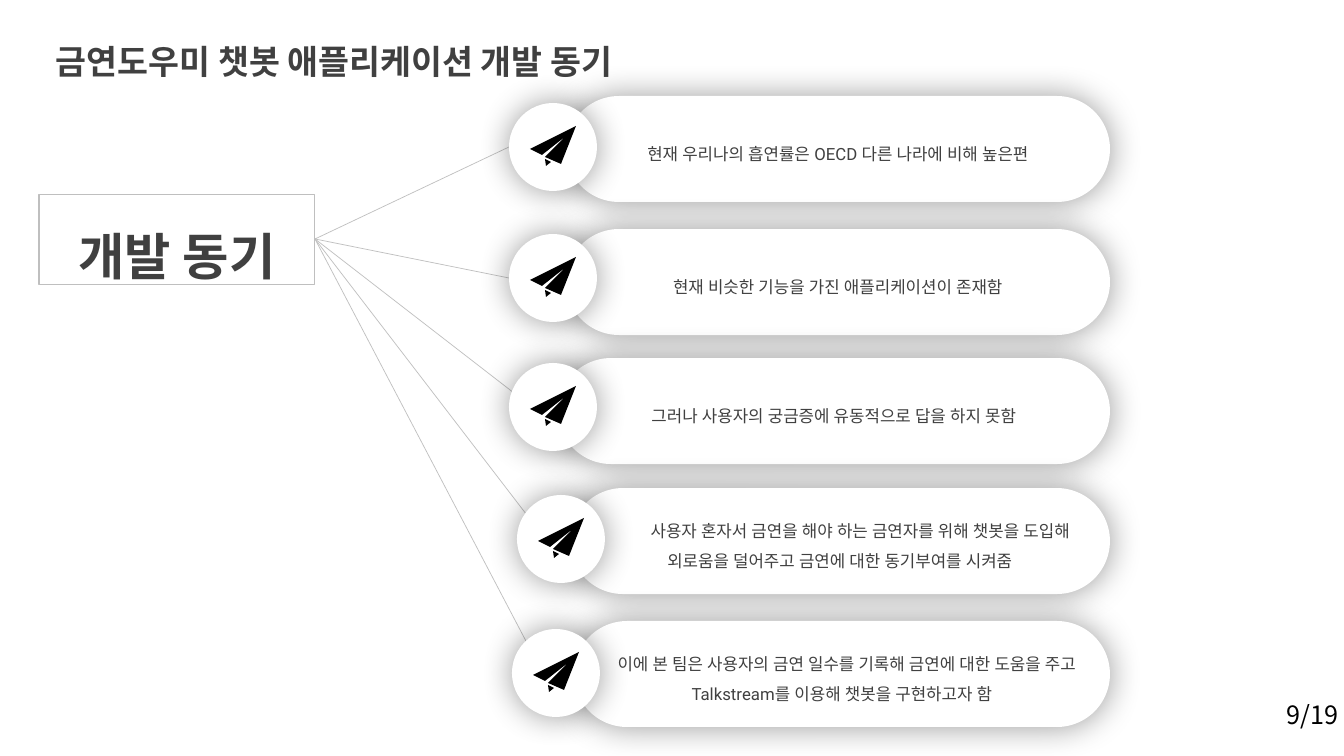
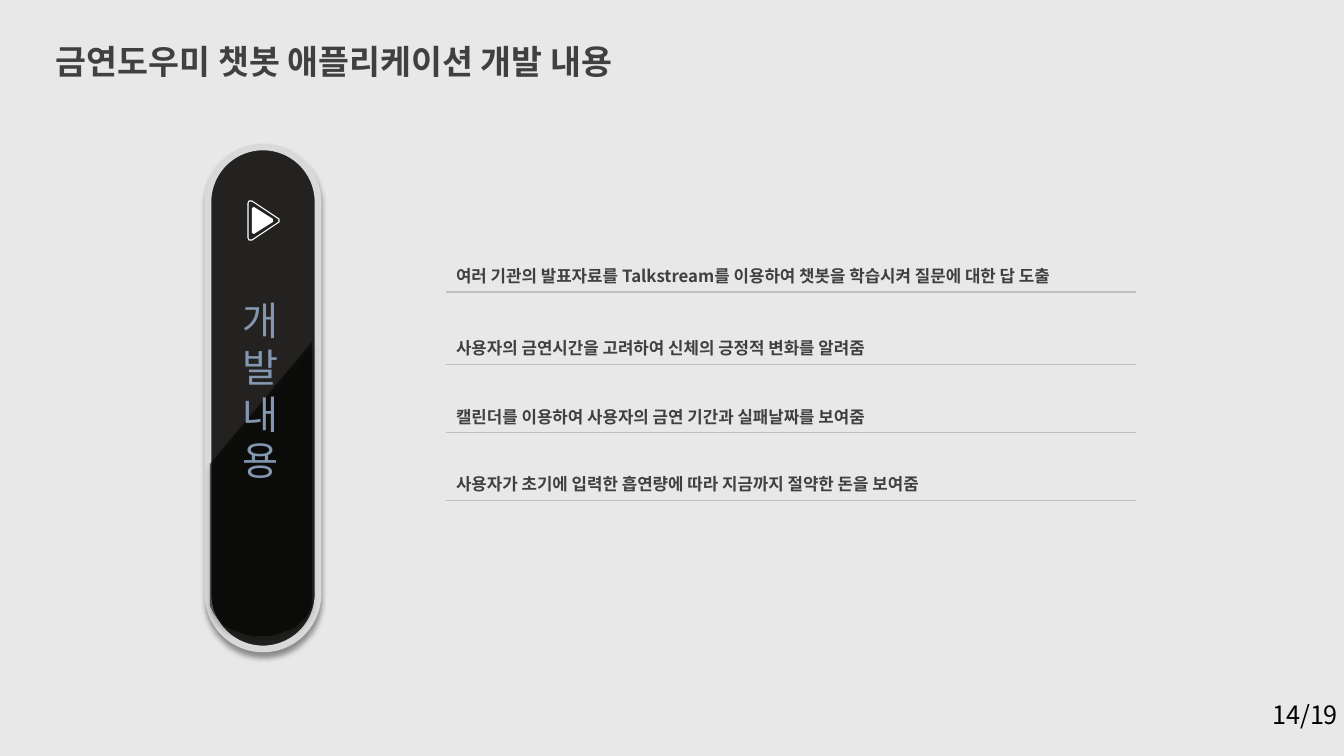
from math import cos, pi, sin

from lxml.etree import SubElement
from pptx import Presentation
from pptx.dml.color import RGBColor
from pptx.enum.shapes import MSO_CONNECTOR, MSO_SHAPE
from pptx.enum.text import MSO_ANCHOR, PP_ALIGN
from pptx.oxml import parse_xml
from pptx.oxml.ns import nsdecls, qn
from pptx.util import Pt

PX = 9072  # EMU in one px
WIDTH, HEIGHT = 1344, 756

WHITE = RGBColor(0xFF, 0xFF, 0xFF)
BLACK = RGBColor(0x00, 0x00, 0x00)
PALE_GRAY = RGBColor(0xE8, 0xE8, 0xE8)
RIM_GRAY = RGBColor(0xD9, 0xD9, 0xD9)
LINE_GRAY = RGBColor(0xBF, 0xBF, 0xBF)
TEXT_GRAY = RGBColor(0x40, 0x40, 0x40)
CHARCOAL = RGBColor(0x23, 0x22, 0x20)
SLATE = RGBColor(0x84, 0x97, 0xB0)

KOREAN = "Noto Sans CJK KR"
LATIN = "Roboto"

GLOW = (24, 0, 0)  # blur pt, distance pt, direction degrees
DROP = (4, 3, 90)


def dress(shape, fill=None, line=None, weight=0.75, shadow=None):
    """Set fill, outline and shadow of a shape."""
    shape.shadow.inherit = False
    if fill is None:
        shape.fill.background()
    else:
        shape.fill.solid()
        shape.fill.fore_color.rgb = fill
    if line is None:
        shape.line.fill.background()
    else:
        shape.line.color.rgb = line
        shape.line.width = Pt(weight)
    if shadow:
        blur, distance, degrees = shadow
        effects = shape._element.spPr.find(qn("a:effectLst"))
        effects.append(parse_xml(
            f'<a:outerShdw {nsdecls("a")} blurRad="{Pt(blur)}" dist="{Pt(distance)}" '
            f'dir="{degrees * 60000}" algn="ctr" rotWithShape="0"><a:srgbClr val="000000">'
            '<a:alpha val="40000"/></a:srgbClr></a:outerShdw>'))


def write(frame, lines, size, color=TEXT_GRAY, face=KOREAN, bold=False,
          align=PP_ALIGN.LEFT, spacing=1.0, indent=0):
    """Fill a text frame, one paragraph a line."""
    frame.word_wrap = True
    for number, line in enumerate(lines):
        para = frame.add_paragraph() if number else frame.paragraphs[0]
        para.alignment = align
        para.line_spacing = spacing
        if indent:
            para._p.get_or_add_pPr().set("indent", str(indent * PX))
        span = para.add_run()
        span.text = line
        span.font.name = face
        span.font.size = Pt(size)
        span.font.bold = bold
        span.font.color.rgb = color
        SubElement(span.font._element, qn("a:ea")).set("typeface", face)


deck = Presentation()
deck.slide_width, deck.slide_height = WIDTH * PX, HEIGHT * PX

# Background, title and page number of both slides
pages = []
for title, number, backdrop in [
    ("금연도우미 챗봇 애플리케이션 개발 동기", "9/19", WHITE),
    ("금연도우미 챗봇 애플리케이션 개발 내용", "14/19", PALE_GRAY),
]:
    page = deck.slides.add_slide(deck.slide_layouts[6])
    page.background.fill.solid()
    page.background.fill.fore_color.rgb = backdrop
    box = page.shapes.add_textbox(46 * PX, 19 * PX, 814 * PX, 64 * PX)
    box.text_frame.vertical_anchor = MSO_ANCHOR.MIDDLE
    write(box.text_frame, [title], 24, bold=True, spacing=1.5)
    box = page.shapes.add_textbox(1244 * PX, 694 * PX, 94 * PX, 40 * PX)
    box.text_frame.vertical_anchor = MSO_ANCHOR.MIDDLE
    box.text_frame.margin_right = 0
    write(box.text_frame, [number], 18, BLACK, align=PP_ALIGN.RIGHT)
    pages.append(page)
motive_page, content_page = pages

# Slide 1: pills, each with its circle and the end of its line
shapes = motive_page.shapes
PILL_RIGHT, PILL_HEIGHT, CIRCLE = 1110, 106, 88
EDGE, INNER = (0, 44), (36, 54)  # line ends, from the circle's corner
# pill left, pill top, circle left, circle top, line end, first-line indent, text
motives = [
    (566, 96, 509, 103, EDGE, 0, "현재 우리나의 흡연률은 OECD 다른 나라에 비해 높은편"),
    (566, 229, 509, 234, EDGE, 0, "현재 비슷한 기능을 가진 애플리케이션이 존재함"),
    (558, 358, 509, 363, INNER, 0, "그러나 사용자의 궁금증에 유동적으로 답을 하지 못함"),
    (570, 488, 517, 495, INNER, 41,
     "사용자 혼자서 금연을 해야 하는 금연자를 위해 챗봇을 도입해 "
     "외로움을 덜어주고 금연에 대한 동기부여를 시켜줌"),
    (574, 621, 512, 629, INNER, 10,
     "이에 본 팀은 사용자의 금연 일수를 기록해 금연에 대한 도움을 주고 "
     "Talkstream를 이용해 챗봇을 구현하고자 함"),
]
for left, top, _, _, _, indent, text in motives:
    pill = shapes.add_shape(MSO_SHAPE.ROUNDED_RECTANGLE, left * PX, top * PX,
                            (PILL_RIGHT - left) * PX, PILL_HEIGHT * PX)
    pill.adjustments[0] = 0.5
    dress(pill, WHITE, shadow=GLOW)
    frame = pill.text_frame
    frame.margin_left = frame.margin_right = frame.margin_top = frame.margin_bottom = 0
    frame.vertical_anchor = MSO_ANCHOR.MIDDLE
    write(frame, [text], 12, face=LATIN, align=PP_ALIGN.CENTER, spacing=1.5, indent=indent)

# Heading box
heading = shapes.add_shape(MSO_SHAPE.RECTANGLE, 39 * PX, 195 * PX, 276 * PX, 90 * PX)
dress(heading, line=LINE_GRAY)
heading.text_frame.vertical_anchor = MSO_ANCHOR.MIDDLE
write(heading.text_frame, ["개발 동기"], 36, bold=True, align=PP_ALIGN.CENTER, spacing=1.5)

# Lines from the heading to the circles
for _, _, left, top, (dx, dy), _, _ in motives:
    line = shapes.add_connector(MSO_CONNECTOR.STRAIGHT, (left + dx) * PX, (top + dy) * PX,
                                315 * PX, 239 * PX)
    line.line.color.rgb = LINE_GRAY
    line.line.width = Pt(0.5)
    SubElement(line._element.spPr, qn("a:effectLst"))

# Circles with paper planes
FIN = [(15, 33), (21, 36), (16, 40)]
WINGS = [(46, 0), (31, 38), (15, 31), (36, 10), (12, 29), (0, 23)]
for _, _, left, top, _, _, _ in motives:
    circle = shapes.add_shape(MSO_SHAPE.OVAL, left * PX, top * PX, CIRCLE * PX, CIRCLE * PX)
    dress(circle, WHITE, shadow=GLOW)
    outline = shapes.build_freeform(*FIN[0], scale=PX)
    outline.add_line_segments(FIN[1:])
    outline.move_to(*WINGS[0])
    outline.add_line_segments(WINGS[1:])
    dress(outline.convert_to_shape((left + 21) * PX, (top + 23) * PX), BLACK)

# Slide 2: capsule
shapes = content_page.shapes
capsule = shapes.add_shape(MSO_SHAPE.ROUNDED_RECTANGLE, 208 * PX, 147 * PX, 110 * PX, 502 * PX)
capsule.adjustments[0] = 0.5
dress(capsule, CHARCOAL, RIM_GRAY, 4.75, DROP)

# Dark lower part of the capsule, closed by half an ellipse
STEPS = 24
bowl = [(round(261 + 51 * cos(pi * step / STEPS), 2), round(601 + 35 * sin(pi * step / STEPS), 2))
        for step in range(STEPS + 1)]
outline = shapes.build_freeform(312, 342, scale=PX)
outline.add_line_segments(bowl + [(210, 464)])
shade = outline.convert_to_shape()
dress(shade, BLACK, shadow=DROP)
color = shade._element.spPr.find(qn("a:solidFill")).find(qn("a:srgbClr"))
SubElement(color, qn("a:alpha")).set("val", "57000")

# Vertical label
label = shapes.add_textbox(208 * PX, 290 * PX, 105 * PX, 200 * PX)
label.text_frame.vertical_anchor = MSO_ANCHOR.MIDDLE
write(label.text_frame, "개발내용", 28, SLATE, align=PP_ALIGN.CENTER, spacing=Pt(33.5))

# Play sign: outlined and filled triangle
RING = [(279, 219), (279, 222), (252, 240), (249, 240), (248, 238), (248, 203), (249, 201), (252, 201)]
CORE = [(273, 219), (273, 222), (254, 234), (252, 233), (252, 208), (254, 207)]
for points, fill, line in [(RING, None, WHITE), (CORE, WHITE, None)]:
    outline = shapes.build_freeform(*points[0], scale=PX)
    outline.add_line_segments(points[1:])
    dress(outline.convert_to_shape(), fill, line)

# Table of contents, ruled below each row
features = [
    (79, 1, "여러 기관의 발표자료를 Talkstream를 이용하여 챗봇을 학습시켜 질문에 대한 답 도출"),
    (72, 0.75, "사용자의 금연시간을 고려하여 신체의 긍정적 변화를 알려줌"),
    (69, 0.75, "캘린더를 이용하여 사용자의 금연 기간과 실패날짜를 보여줌"),
    (68, 0.75, "사용자가 초기에 입력한 흡연량에 따라 지금까지 절약한 돈을 보여줌"),
]
table = shapes.add_table(len(features), 1, 446 * PX, 213 * PX, 690 * PX, 288 * PX).table
table.first_row = table.horz_banding = False
above = 0
for row, (height, weight, text) in enumerate(features):
    table.rows[row].height = height * PX
    cell = table.cell(row, 0)
    cell.fill.background()
    cell.vertical_anchor = MSO_ANCHOR.BOTTOM
    write(cell.text_frame, [text], 12, bold=True)
    borders = [("lnL", 0), ("lnR", 0), ("lnT", above), ("lnB", weight)]
    for place, (side, points) in enumerate(borders):
        paint = f'<a:solidFill><a:srgbClr val="{LINE_GRAY}"/></a:solidFill>' if points else "<a:noFill/>"
        cell._tc.get_or_add_tcPr().insert(place, parse_xml(
            f'<a:{side} {nsdecls("a")} w="{Pt(points)}">{paint}</a:{side}>'))
    above = weight

deck.save("out.pptx")
